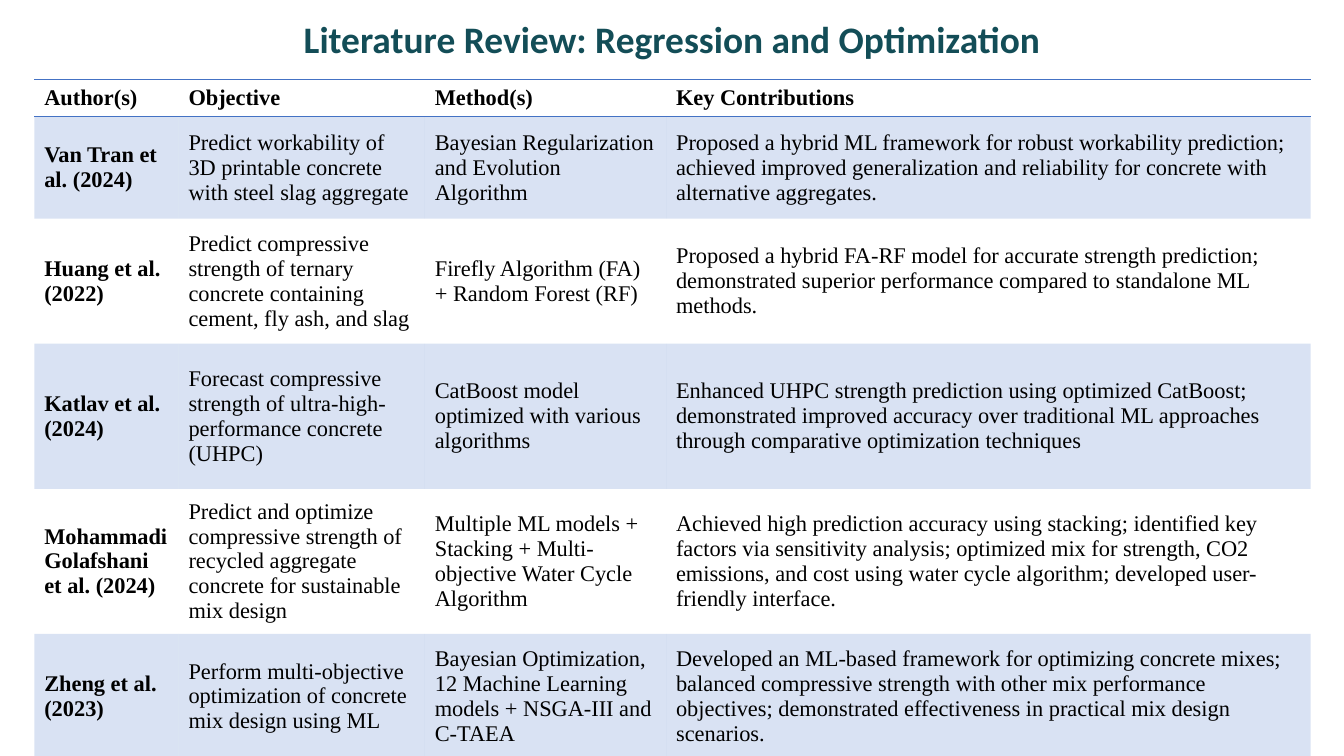
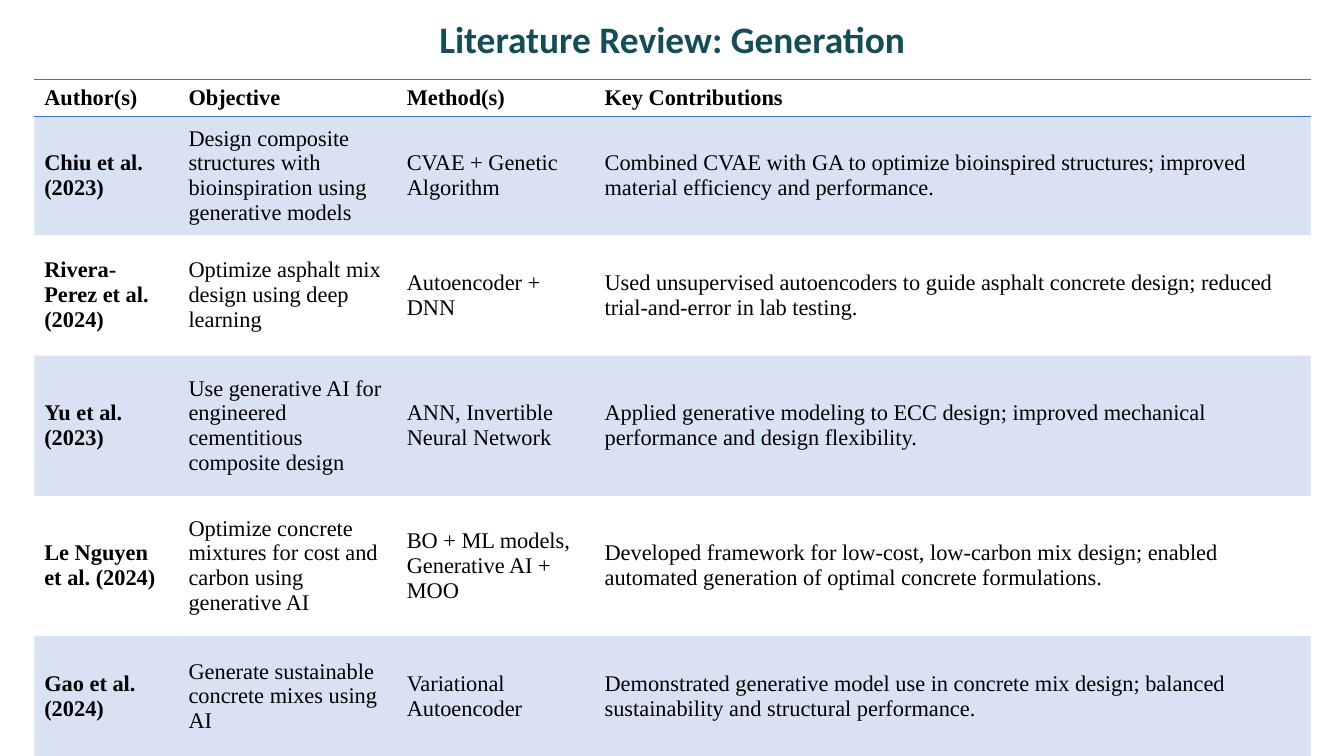
from dataclasses import dataclass

from lxml.etree import SubElement
from pptx import Presentation
from pptx.dml.color import RGBColor as Color
from pptx.enum.text import MSO_ANCHOR as Anchor, PP_ALIGN as Align
from pptx.oxml import parse_xml
from pptx.oxml.ns import nsdecls, qn
from pptx.util import Inches, Pt


@dataclass(frozen=True)
class Theme:
    title_color: str = "134D57"
    text_color: str = "000000"
    accent: str = "4472C4"
    band_opacity: int = 20
    title_font: str = "Calibri"
    table_font: str = "Times New Roman"
    title_size: float = 26.7
    table_size: float = 16
    rule_width: float = 1
    title_inset: float = 0.13
    plain_table: str = "{2D5ABB26-0587-4C30-8999-92F81FD0307C}"


def apply_format(target, values):
    for name, value in values.items():
        setattr(target, name, value)


class Deck:
    def __init__(self, theme):
        self.theme = theme
        self.presentation = Presentation()
        apply_format(
            self.presentation,
            {"slide_width": Inches(13.33), "slide_height": Inches(7.5)},
        )
        self.slide = None

    def across(self, percent):
        return round(self.presentation.slide_width * percent / 100)

    def down(self, percent):
        return round(self.presentation.slide_height * percent / 100)

    def box(self, left, top, width, height):
        return self.across(left), self.down(top), self.across(width), self.down(height)

    def add_slide(self):
        blank_layout = self.presentation.slide_layouts[6]
        self.slide = self.presentation.slides.add_slide(blank_layout)

    def add_text(self, paragraph, text, font, size, color, bold):
        run = paragraph.add_run()
        run.text = text
        apply_format(run.font, {"name": font, "size": Pt(size), "bold": bold})
        run.font.color.rgb = Color.from_string(color)

    def add_title(self, text):
        theme = self.theme
        shape = self.slide.shapes.add_textbox(*self.box(6.23, 0, 87.62, 10.27))
        frame = shape.text_frame
        sides = ("left", "top", "right", "bottom")
        insets = {f"margin_{side}": Inches(theme.title_inset) for side in sides}
        apply_format(
            frame, {"word_wrap": True, "vertical_anchor": Anchor.MIDDLE, **insets}
        )
        paragraph = frame.paragraphs[0]
        paragraph.alignment = Align.CENTER
        self.add_text(
            paragraph, text, theme.title_font, theme.title_size, theme.title_color, True
        )

    def add_table(self, column_shares, row_shares, rows):
        shape = self.slide.shapes.add_table(
            len(rows), len(column_shares), *self.box(2.55, 10.53, 94.97, sum(row_shares))
        )
        table, width = shape.table, shape.width
        apply_format(table, {"first_row": False, "horz_banding": False})
        table._tbl.tblPr.find(qn("a:tableStyleId")).text = self.theme.plain_table
        for column, share in zip(table.columns, column_shares):
            column.width = round(width * share / 100)
        for row, share in zip(table.rows, row_shares):
            row.height = self.down(share)
        last = len(rows) - 1
        for row_index, texts in enumerate(rows):
            edges = {0: ("T", "B"), last: ("B",)}.get(row_index, ())
            for column_index, text in enumerate(texts):
                cell = table.cell(row_index, column_index)
                bold = row_index == 0 or column_index == 0
                self.fill_cell(cell, text, bold, row_index % 2 == 1, edges)

    def fill_cell(self, cell, text, bold, banded, edges):
        theme = self.theme
        cell.vertical_anchor = Anchor.MIDDLE
        self.add_text(
            cell.text_frame.paragraphs[0],
            text,
            theme.table_font,
            theme.table_size,
            theme.text_color,
            bold,
        )
        properties = cell._tc.get_or_add_tcPr()
        if banded:
            cell.fill.solid()
            cell.fill.fore_color.rgb = Color.from_string(theme.accent)
            tint = properties.find(f"{qn('a:solidFill')}/{qn('a:srgbClr')}")
            SubElement(tint, qn("a:alpha"), val=str(theme.band_opacity * 1000))
        else:
            cell.fill.background()
        for position, edge in enumerate(edges):
            properties.insert(position, self.rule(edge))

    def rule(self, edge):
        return parse_xml(
            f'<a:ln{edge} {nsdecls("a")} w="{Pt(self.theme.rule_width)}">'
            f'<a:solidFill><a:srgbClr val="{self.theme.accent}"/></a:solidFill>'
            f"</a:ln{edge}>"
        )


HEADINGS = ("Author(s)", "Objective", "Method(s)", "Key Contributions")

REVIEWS = (
    {
        "title": "Literature Review: Regression and Optimization",
        "columns": (11.3, 19.3, 18.9, 50.5),
        "heights": (4.93, 13.47, 16.53, 19.2, 19.2, 16.53),
        "studies": (
            (
                "Van Tran et al. (2024)",
                "Predict workability of 3D printable concrete with steel slag aggregate",
                "Bayesian Regularization and Evolution Algorithm",
                "Proposed a hybrid ML framework for robust workability prediction; "
                "achieved improved generalization and reliability for concrete with "
                "alternative aggregates.",
            ),
            (
                "Huang et al. (2022)",
                "Predict compressive strength of ternary concrete containing cement, "
                "fly ash, and slag",
                "Firefly Algorithm (FA) + Random Forest (RF)",
                "Proposed a hybrid FA-RF model for accurate strength prediction; "
                "demonstrated superior performance compared to standalone ML methods.",
            ),
            (
                "Katlav et al. (2024)",
                "Forecast compressive strength of ultra-high-performance concrete (UHPC)",
                "CatBoost model optimized with various algorithms",
                "Enhanced UHPC strength prediction using optimized CatBoost; "
                "demonstrated improved accuracy over traditional ML approaches "
                "through comparative optimization techniques",
            ),
            (
                "Mohammadi Golafshani et al. (2024)",
                "Predict and optimize compressive strength of recycled aggregate "
                "concrete for sustainable mix design",
                "Multiple ML models + Stacking + Multi-objective Water Cycle Algorithm",
                "Achieved high prediction accuracy using stacking; identified key "
                "factors via sensitivity analysis; optimized mix for strength, CO2 "
                "emissions, and cost using water cycle algorithm; developed "
                "user-friendly interface.",
            ),
            (
                "Zheng et al. (2023)",
                "Perform multi-objective optimization of concrete mix design using ML",
                "Bayesian Optimization, 12 Machine Learning models + NSGA-III and C-TAEA",
                "Developed an ML-based framework for optimizing concrete mixes; "
                "balanced compressive strength with other mix performance objectives; "
                "demonstrated effectiveness in practical mix design scenarios.",
            ),
        ),
    },
    {
        "title": "Literature Review: Generation",
        "columns": (11.3, 17.1, 15.5, 56.1),
        "heights": (4.93, 15.6, 16, 18.53, 18.53, 16),
        "studies": (
            (
                "Chiu et al. (2023)",
                "Design composite structures with bioinspiration using generative models",
                "CVAE + Genetic Algorithm",
                "Combined CVAE with GA to optimize bioinspired structures; improved "
                "material efficiency and performance.",
            ),
            (
                "Rivera-Perez et al. (2024)",
                "Optimize asphalt mix design using deep learning",
                "Autoencoder + DNN",
                "Used unsupervised autoencoders to guide asphalt concrete design; "
                "reduced trial-and-error in lab testing.",
            ),
            (
                "Yu et al. (2023)",
                "Use generative AI for engineered cementitious composite design",
                "ANN, Invertible Neural Network",
                "Applied generative modeling to ECC design; improved mechanical "
                "performance and design flexibility.",
            ),
            (
                "Le Nguyen et al. (2024)",
                "Optimize concrete mixtures for cost and carbon using generative AI",
                "BO + ML models, Generative AI + MOO",
                "Developed framework for low-cost, low-carbon mix design; enabled "
                "automated generation of optimal concrete formulations.",
            ),
            (
                "Gao et al. (2024)",
                "Generate sustainable concrete mixes using AI",
                "Variational Autoencoder",
                "Demonstrated generative model use in concrete mix design; balanced "
                "sustainability and structural performance.",
            ),
        ),
    },
)


def main():
    deck = Deck(Theme())
    for review in REVIEWS:
        deck.add_slide()
        deck.add_table(
            review["columns"], review["heights"], (HEADINGS, *review["studies"])
        )
        deck.add_title(review["title"])
    deck.presentation.save("out.pptx")


if __name__ == "__main__":
    main()
